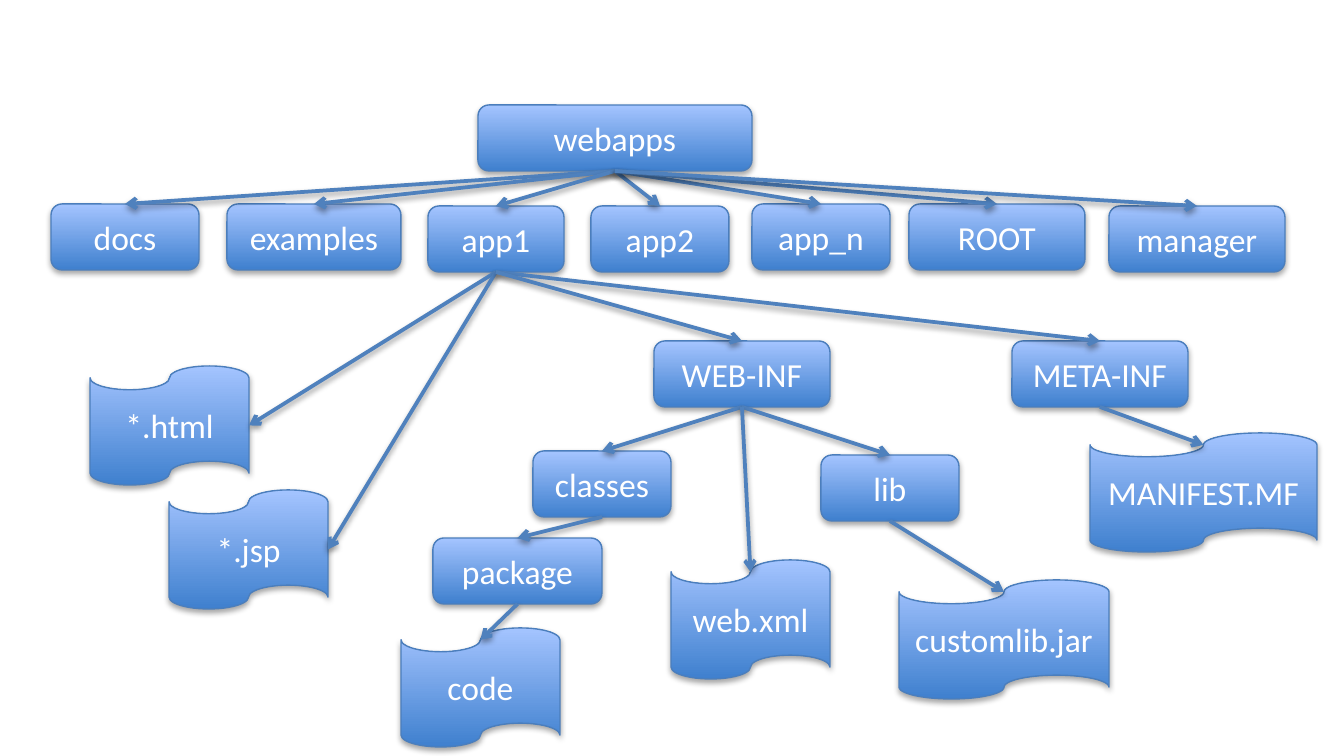
"""Build a slide with the directory tree of a web application server."""
from lxml.etree import SubElement
from pptx import Presentation
from pptx.dml.color import RGBColor
from pptx.enum.shapes import MSO_CONNECTOR as Connector, MSO_SHAPE as Shape
from pptx.enum.text import MSO_ANCHOR as Anchor, PP_ALIGN as Align
from pptx.oxml.ns import qn
from pptx.util import Pt

PIXEL = 914400 / 134.4
WHITE = RGBColor(0xFF, 0xFF, 0xFF)
NODE_BOTTOM = RGBColor(0x3F, 0x80, 0xCE)
NODE_TOP = RGBColor(0xA4, 0xC4, 0xFF)
NODE_LINE = RGBColor(0x4B, 0x7E, 0xBC)
ARROW_LINE = RGBColor(0x4F, 0x81, 0xBD)
FOLDER_HEIGHT, FILE_HEIGHT = 66, 119
TOP, BOTTOM, RIGHT = 0, 2, 3

FOLDERS = {
    "webapps": (478, 105, 274),
    "docs": (51, 204, 148),
    "examples": (227, 204, 174),
    "app1": (428, 206, 136),
    "app2": (591, 206, 138),
    "app_n": (752, 204, 138),
    "ROOT": (909, 204, 176),
    "manager": (1109, 206, 176),
    "META-INF": (1012, 341, 176),
    "WEB-INF": (654, 341, 176),
    "lib": (821, 455, 138),
    "classes": (533, 451, 138),
    "package": (433, 538, 169),
}
FILES = {
    "web.xml": (671, 560, 159),
    "customlib.jar": (899, 580, 210),
    "code": (401, 628, 159),
    "MANIFEST.MF": (1090, 433, 227),
    "*.html": (90, 366, 159),
    "*.jsp": (169, 490, 159),
}
CHILDREN = {
    "webapps": ["docs", "examples", "app1", "app2", "app_n", "ROOT", "manager"],
    "app1": ["*.html", "*.jsp", "META-INF", "WEB-INF"],
    "WEB-INF": ["classes", "lib", "web.xml"],
    "classes": ["package"],
    "package": ["code"],
    "lib": ["customlib.jar"],
    "META-INF": ["MANIFEST.MF"],
}


def write_text(shape, text, size=18, font="Calibri", color=WHITE, align=Align.CENTER):
    frame = shape.text_frame
    frame.word_wrap = True
    frame.vertical_anchor = Anchor.MIDDLE
    paragraph = frame.paragraphs[0]
    paragraph.alignment = align
    run = paragraph.add_run()
    run.text = text
    run.font.size = Pt(size)
    run.font.name = font
    run.font.color.rgb = color


def add_shadow(properties, distance, opacity):
    effects = SubElement(properties, qn("a:effectLst"))
    shadow = SubElement(effects, qn("a:outerShdw"), blurRad="40000", dist=str(distance),
                        dir="5400000", rotWithShape="0")
    black = SubElement(shadow, qn("a:srgbClr"), val="000000")
    SubElement(black, qn("a:alpha"), val=str(opacity * 1000))


presentation = Presentation()
presentation.slide_width = round(1344 * PIXEL)
presentation.slide_height = round(756 * PIXEL)
slide = presentation.slides.add_slide(presentation.slide_layouts[6])

nodes = {}
for group, preset, height in (
    (FOLDERS, Shape.ROUNDED_RECTANGLE, FOLDER_HEIGHT),
    (FILES, Shape.FLOWCHART_PUNCHED_TAPE, FILE_HEIGHT),
):
    for name, (left, top, width) in group.items():
        box = [round(length * PIXEL) for length in (left, top, width, height)]
        node = slide.shapes.add_shape(preset, *box)
        node.fill.gradient()
        node.fill.gradient_angle = 90
        for stop, color in zip(node.fill.gradient_stops, (NODE_BOTTOM, NODE_TOP)):
            stop.color.rgb = color
        node.line.color.rgb = NODE_LINE
        node.line.width = Pt(0.75)
        add_shadow(node._element.spPr, 23000, 35)
        write_text(node, name)
        nodes[name] = node

for parent, children in CHILDREN.items():
    for child in children:
        target = nodes[child]
        side = RIGHT if child in ("*.html", "*.jsp") else TOP
        arrow = slide.shapes.add_connector(Connector.STRAIGHT, 0, 0, 0, 0)
        arrow.begin_connect(nodes[parent], BOTTOM)
        arrow.end_connect(target, side)
        if child in FILES and side == TOP:
            arrow.end_y = target.top + target.height // 10
        arrow.line.color.rgb = ARROW_LINE
        arrow.line.width = Pt(2)
        properties = arrow._element.spPr
        SubElement(properties.find(qn("a:ln")), qn("a:tailEnd"), type="arrow")
        add_shadow(properties, 20000, 38)

presentation.save("out.pptx")
